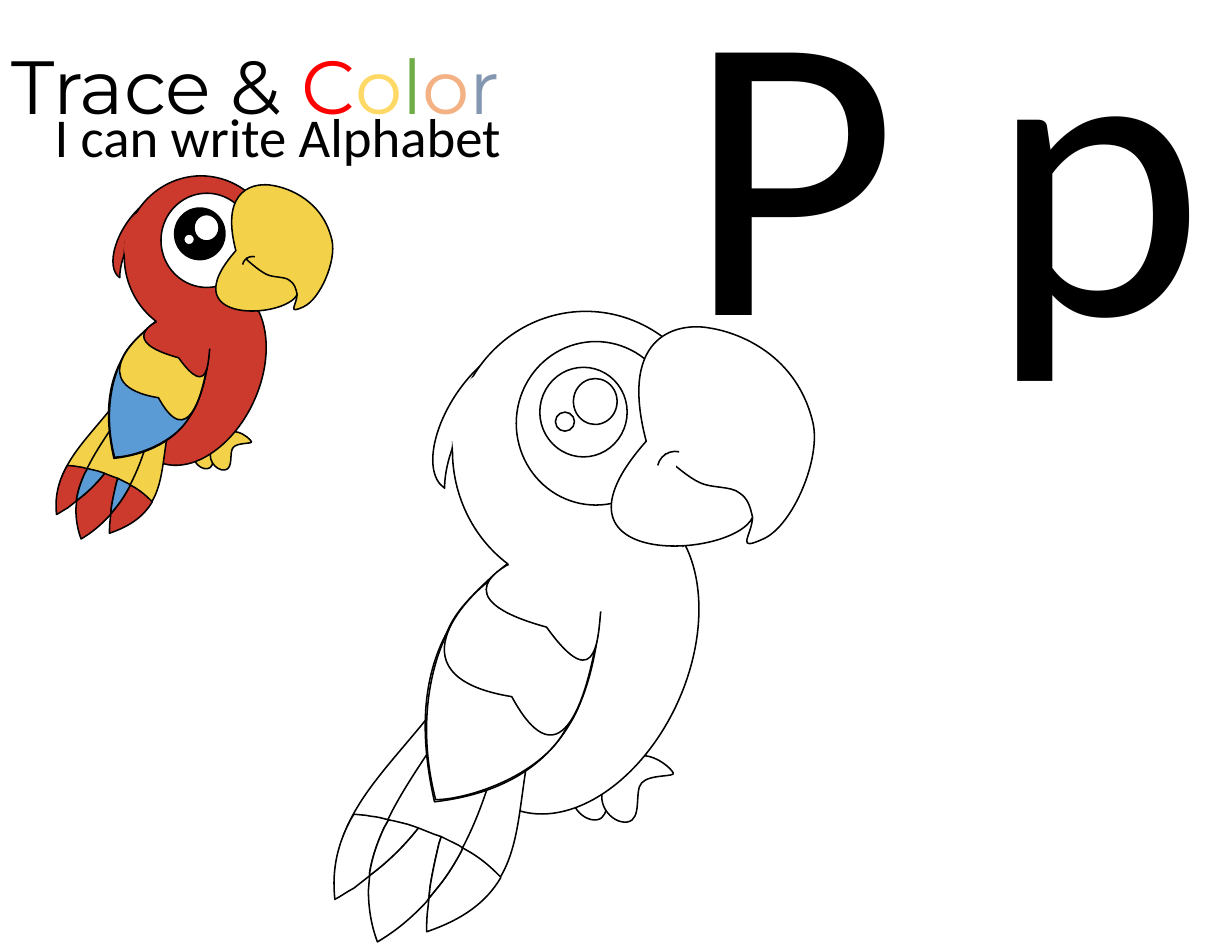
import math
from dataclasses import dataclass

import pptx
import pptx.dml.color
import pptx.enum.shapes
import pptx.enum.text
import pptx.oxml
import pptx.oxml.ns
import pptx.util
from lxml import etree

Inches = pptx.util.Inches
Pt = pptx.util.Pt
MSO_SHAPE = pptx.enum.shapes.MSO_SHAPE
RGBColor = pptx.dml.color.RGBColor
qn = pptx.oxml.ns.qn


@dataclass(frozen=True)
class Theme:
    black: str = "000000"
    white: str = "FFFFFF"
    red: str = "CC3A2D"
    yellow: str = "F3D24A"
    blue: str = "5B9BD5"
    title_letters: tuple = ("FF0000", "FFD966", "70AD47", "F4B183", "8497B0")
    title_font: str = "Montserrat"
    body_font: str = "Calibri"
    title_size: float = 48.4
    letter_size: float = 262.9
    subtitle_size: float = 35.2
    outline: float = 1


theme = Theme()

PRESETS = {"ellipse": MSO_SHAPE.OVAL, "moon": MSO_SHAPE.MOON, "arc": MSO_SHAPE.ARC}
COMMANDS = {"M": ("a:moveTo", 1), "L": ("a:lnTo", 1), "C": ("a:cubicBezTo", 3), "Z": ("a:close", 0)}

FOOT = "M 5.46 6.97 C 5.53 6.89 5.77 6.92 5.74 6.88 C 5.72 6.83 5.39 6.52 5.17 6.95 C 5.01 7.13 5.19 7.34 5.33 7.32 C 5.47 7.3 5.39 7.04 5.46 6.97 Z"
FRONT_FOOT = "M 5.73 6.99 C 5.8 6.91 6.04 6.94 6.01 6.9 C 5.99 6.85 5.66 6.54 5.43 6.97 C 5.28 7.15 5.46 7.36 5.6 7.34 C 5.74 7.32 5.66 7.06 5.73 6.99 Z"
WING_BACK = "M 5.32 5.77 L 4.38 5.18 C 4.21 5.3 3.46 5.98 4.55 6.14 C 5.06 7.1 5.22 6.15 5.32 5.77 Z"
TAIL_RIGHT = "M 4.95 6 L 4.79 5.76 C 4.42 6.18 3.86 7.23 3.82 8.3 C 4.95 7.91 4.43 7.09 4.95 6 Z"
TAIL_LEFT = "M 4.25 5.79 L 4.54 5.75 C 4.45 6.31 3.91 7.51 3 8.01 C 2.91 7.13 3.7 6.75 4.25 5.79 Z"
TAIL_MIDDLE = "M 4.28 6 L 4.58 6.05 C 4.48 6.6 4.28 7.89 3.38 8.38 C 3.07 7.52 3.74 6.95 4.28 6 Z"
WING = "M 5.39 4.89 L 5.05 4.61 C 4.69 5.04 3.47 5.36 3.88 7.16 C 5.31 6.99 5.36 5.86 5.39 4.89 Z"
WING_TIP = "M 3.98 5.68 C 3.83 6 3.73 6.52 3.89 7.14 C 4.17 7.14 4.88 6.92 5.08 6.45 L 3.98 5.68 Z"
WING_MIDDLE = "M 5.31 5.8 L 4.41 5.16 C 4.27 5.23 3.4 6.03 4.57 6.22 C 5.03 7.07 5.25 6.11 5.31 5.8 Z"
WING_TOP = "M 5.37 5.39 L 4.62 5 C 4.5 5.05 3.93 5.34 4.88 5.6 C 5.36 6.27 5.34 5.62 5.37 5.39 Z"
BEAK = "M 6.82 4.81 C 7.08 4.69 7.33 4.1 7.26 3.78 C 7.12 3.17 6.6 2.97 6.34 2.93 C 6.09 2.88 5.51 2.95 5.77 3.94 C 4.75 5.09 6.54 5 6.72 4.62 C 6.71 4.79 6.56 4.93 6.82 4.81 Z"
MOUTH = "M 6.72 4.62 C 6.7 4.53 6.68 4.45 6.6 4.4 C 6.53 4.34 6.35 4.36 6.25 4.31 C 6.14 4.26 6.01 4.14 5.96 4.1 C 5.91 4.06 5.95 4.05 5.95 4.05 L 5.95 4.05"
TIP_LEFT = "M 3.16 7.27 L 3.13 7.32 C 3.02 7.53 2.96 7.75 2.99 8.03 C 3.05 8 3.1 7.96 3.16 7.93 L 3.3 7.82 L 3.3 7.8 C 3.32 7.66 3.37 7.52 3.43 7.39 L 3.47 7.32 L 3.39 7.3 C 3.35 7.29 3.31 7.29 3.27 7.28 L 3.16 7.27 Z"
TIP_MIDDLE = "M 3.73 7.39 L 3.73 7.4 C 3.61 7.55 3.47 7.69 3.31 7.81 L 3.3 7.82 L 3.29 7.95 C 3.29 8.09 3.31 8.25 3.37 8.41 C 3.54 8.31 3.68 8.19 3.81 8.05 L 3.83 8.02 L 3.84 7.92 C 3.86 7.79 3.89 7.66 3.92 7.53 L 3.94 7.47 L 3.88 7.45 L 3.73 7.39 Z"
TIP_RIGHT = "M 4.13 7.57 L 4.12 7.6 C 4.06 7.71 4 7.81 3.92 7.91 L 3.83 8.02 L 3.82 8.12 C 3.81 8.19 3.81 8.25 3.81 8.32 C 4.16 8.2 4.35 8.04 4.47 7.84 L 4.47 7.83 L 4.45 7.81 C 4.38 7.74 4.3 7.67 4.2 7.61 L 4.13 7.57 Z"
OVERLAP_LEFT = "M 3.47 7.32 L 3.43 7.39 C 3.37 7.52 3.32 7.66 3.3 7.8 L 3.3 7.82 L 3.31 7.81 C 3.47 7.69 3.61 7.55 3.73 7.4 L 3.73 7.39 L 3.64 7.36 C 3.6 7.35 3.56 7.34 3.52 7.33 L 3.47 7.32 Z"
OVERLAP_RIGHT = "M 3.94 7.47 L 3.92 7.53 C 3.89 7.66 3.86 7.79 3.84 7.92 L 3.83 8.02 L 3.92 7.91 C 4 7.81 4.06 7.71 4.12 7.6 L 4.13 7.57 L 4.1 7.55 L 3.94 7.47 Z"

PARROT = [
    ("moon", (4.04, 2.87, 0.38, 1.51), 213.7, theme.red, True),
    (FOOT, (5.11, 6.72, 0.64, 0.6), 0, theme.yellow, True),
    (FRONT_FOOT, (5.37, 6.74, 0.64, 0.6), 0, theme.yellow, True),
    ("ellipse", (4.19, 4.39, 1.95, 2.95), 24.3, theme.red, True),
    (WING_BACK, (3.96, 5.4, 1.37, 0.93), 30, None, True),
    (TAIL_RIGHT, (3.81, 5.81, 1.14, 2.55), 41.5, theme.yellow, True),
    (TAIL_LEFT, (3.15, 5.64, 1.19, 2.47), 9.5, theme.yellow, True),
    (TAIL_MIDDLE, (3.42, 5.95, 0.96, 2.5), 9.5, theme.yellow, True),
    (WING, (3.88, 4.63, 1.42, 2.71), 39.6, theme.red, True),
    (WING_TIP, (3.54, 5.94, 1.35, 1.29), 211.8, theme.blue, True),
    (WING_MIDDLE, (3.97, 5.37, 1.36, 0.99), 30, theme.yellow, True),
    (WING_TOP, (4.32, 5.15, 1.13, 0.53), 30, theme.red, True),
    ("ellipse", (4.04, 2.78, 2.38, 2.49), 0, theme.red, True),
    ("ellipse", (4.61, 3.05, 1.42, 1.46), 0, theme.white, True),
    ("ellipse", (4.82, 3.28, 0.78, 0.8), 0, theme.black, True),
    ("ellipse", (5.12, 3.38, 0.39, 0.41), 0, theme.white, True),
    ("ellipse", (4.96, 3.68, 0.17, 0.17), 0, theme.white, True),
    ("ellipse", (4.54, 4.54, 1.58, 0.92), 0, theme.red, False),
    (BEAK, (5.46, 2.92, 1.81, 1.96), 0, theme.yellow, True),
    (MOUTH, (5.95, 4.03, 0.75, 0.61), 356.4, None, True),
    ("arc", (5.87, 4.03, 0.32, 0.32), 12.5, None, True),
    ("moon", (4.06, 3.33, 0.13, 0.75), 193.1, theme.red, False),
    (TIP_LEFT, (3.01, 7.25, 0.35, 0.82), 16.5, theme.red, True),
    (TIP_MIDDLE, (3.29, 7.37, 0.57, 1.08), 16.5, theme.red, True),
    (TIP_RIGHT, (3.85, 7.59, 0.56, 0.81), 16.5, theme.red, True),
    (OVERLAP_LEFT, (3.35, 7.33, 0.31, 0.54), 16.5, theme.blue, True),
    (OVERLAP_RIGHT, (3.86, 7.49, 0.21, 0.56), 16.5, theme.blue, True),
]


def add_curve(shapes, outline, box, place, scale, rotation):
    left, top, width, height = box
    w, h = Inches(width * scale), Inches(height * scale)
    builder = shapes.build_freeform(0, 0, scale=1.0)
    builder.add_line_segments([(w, 0), (w, h), (0, h)])
    curve = builder.convert_to_shape(*place)
    path = curve._element.spPr.find(".//" + qn("a:path"))
    for corner in list(path):
        path.remove(corner)
    cos, sin = math.cos(math.radians(rotation)), math.sin(math.radians(rotation))
    tokens = iter(outline.split())
    for command in tokens:
        tag, point_count = COMMANDS[command]
        segment = etree.SubElement(path, qn(tag))
        for _ in range(point_count):
            dx = float(next(tokens)) - left - width / 2
            dy = float(next(tokens)) - top - height / 2
            x = dx * cos + dy * sin + width / 2
            y = dy * cos - dx * sin + height / 2
            etree.SubElement(segment, qn("a:pt"), x=str(Inches(x * scale)), y=str(Inches(y * scale)))
    return curve


def add_text(slide, box, runs, font, size):
    frame = slide.shapes.add_textbox(*map(Inches, box)).text_frame
    frame.word_wrap = True
    frame.auto_size = pptx.enum.text.MSO_AUTO_SIZE.SHAPE_TO_FIT_TEXT
    line = frame.paragraphs[0]
    line.font.name = font
    line.font.size = Pt(size)
    for words, color in runs:
        run = line.add_run()
        run.text = words
        run.font.color.rgb = RGBColor.from_string(color)


deck = pptx.Presentation()
deck.slide_width = Inches(11)
deck.slide_height = Inches(8.5)
slide = deck.slides.add_slide(deck.slide_layouts[6])

title_runs = [("Trace & ", theme.black), *zip("Color", theme.title_letters)]
add_text(slide, (0, 0.3, 5.51, 0.92), title_runs, theme.title_font, theme.title_size)
add_text(slide, (6.03, -0.88, 6.57, 4.53), [("P p", theme.black)], theme.body_font, theme.letter_size)
add_text(slide, (0.39, 0.87, 4.33, 0.69), [("I can write Alphabet", theme.black)], theme.body_font, theme.subtitle_size)

head_left, head_top = 4.04, 2.78
for parrot_left, parrot_top, scale, colored in [(1.11, 1.57, 0.576, True), (head_left, head_top, 1, False)]:
    parrot = slide.shapes.add_group_shape()
    for outline, box, rotation, color, outlined in PARROT:
        left, top, width, height = box
        place = (
            Inches(parrot_left + (left - head_left) * scale),
            Inches(parrot_top + (top - head_top) * scale),
        )
        if outline in PRESETS:
            part = parrot.shapes.add_shape(PRESETS[outline], *place, Inches(width * scale), Inches(height * scale))
            part._element.spPr.find(qn("a:xfrm")).set("flipH", "1")
        else:
            part = add_curve(parrot.shapes, outline, box, place, scale, rotation)
        part.rotation = rotation
        part.shadow.inherit = False
        fill = color if colored else theme.white
        if fill:
            part.fill.solid()
            part.fill.fore_color.rgb = RGBColor.from_string(fill)
        else:
            part.fill.background()
        if outlined:
            part.line.color.rgb = RGBColor.from_string(theme.black)
            part.line.width = Pt(theme.outline)
        else:
            part.line.fill.background()

deck.save("out.pptx")
